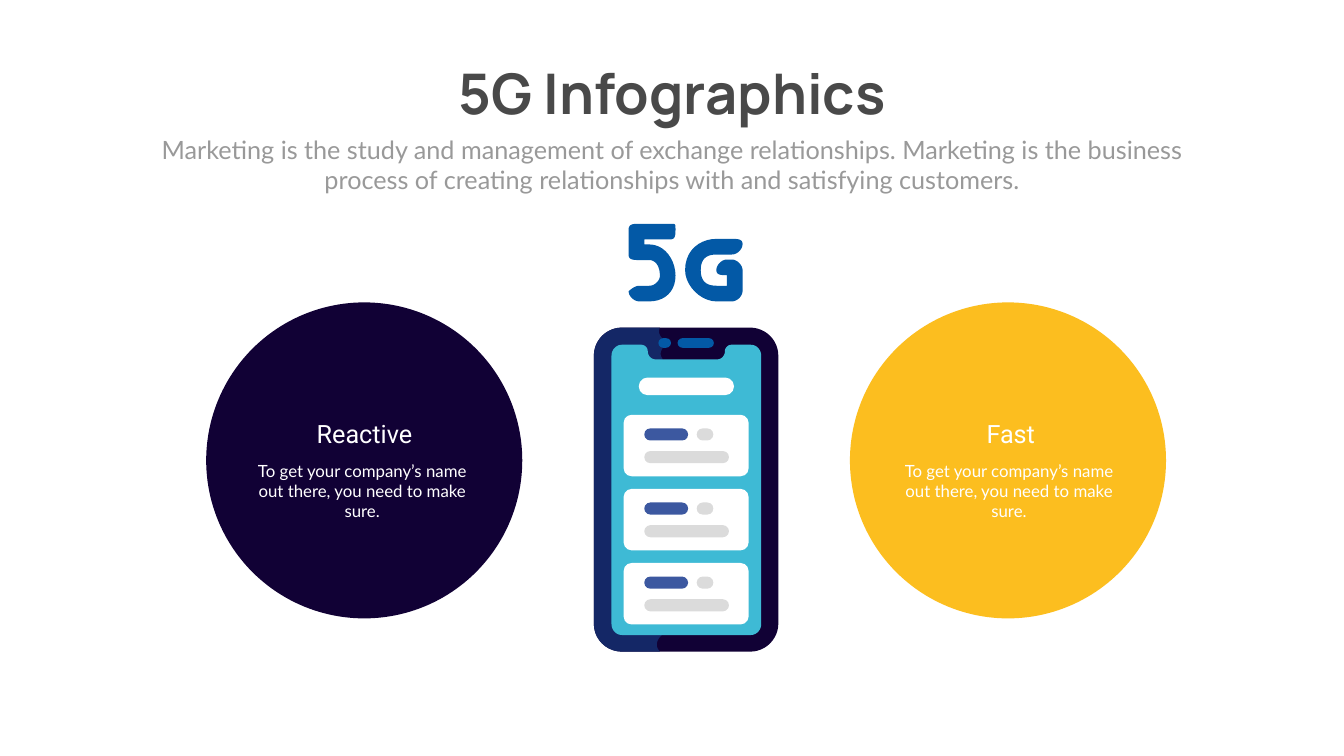
from dataclasses import dataclass

from lxml.etree import SubElement
from pptx import Presentation
from pptx.dml.color import RGBColor
from pptx.enum.shapes import MSO_SHAPE
from pptx.enum.text import MSO_ANCHOR, MSO_AUTO_SIZE, PP_ALIGN
from pptx.oxml.ns import qn
from pptx.util import Inches, Pt

COLUMNS, ROWS = 26.66, 15
CELL = Inches(1)

COLORS = {
    "title": "494949",
    "subtitle": "999999",
    "white": "FFFFFF",
    "navy": "110135",
    "yellow": "FCBE1F",
    "blue": "0359A6",
    "side": "142766",
    "screen": "3EBAD5",
    "accent": "3C58A0",
    "grey": "DBDBDB",
}


@dataclass(frozen=True)
class Area:
    column: float
    row: float
    columns: float
    rows: float

    def shifted(self, column: float, row: float) -> "Area":
        return Area(self.column + column, self.row + row, self.columns, self.rows)


@dataclass(frozen=True)
class Style:
    font: str
    size: int
    color: str
    bold: bool = False


@dataclass(frozen=True)
class Feature:
    heading: str
    color: str
    circle: Area
    heading_area: Area
    detail_area: Area


@dataclass(frozen=True)
class Outline:
    color: str
    start: tuple
    steps: tuple


@dataclass(frozen=True)
class Panel:
    color: str
    area: Area
    radius: float


TITLE = Style("Manrope", 80, "title", True)
SUBTITLE = Style("Lato", 36, "subtitle")
HEADING = Style("Roboto", 36, "white")
DETAIL = Style("Lato", 24, "white")
DETAIL_TEXT = "To get your company’s name out there, you need to make sure."

FEATURES = (
    Feature("Reactive", "navy", Area(4.09, 6, 6.27, 6.27),
            Area(5.6, 8.25, 3.26, 0.71), Area(4.77, 9.09, 4.83, 0.91)),
    Feature("Fast", "yellow", Area(16.86, 6, 6.27, 6.27),
            Area(18.42, 8.25, 3.26, 0.71), Area(17.6, 9.09, 4.83, 0.91)),
)

FIVE = Outline("blue", (13.3, 4.75), (
    (13.4, 4.75, 13.4, 4.65, 13.4, 4.55), (13.4, 4.44, 13.4, 4.44, 13.3, 4.44),
    (12.68, 4.44), (12.58, 4.44, 12.47, 4.44, 12.47, 4.55),
    (12.47, 5.06), (12.47, 5.16, 12.58, 5.16, 12.68, 5.16),
    (12.88, 5.16), (12.99, 5.16, 13.09, 5.26, 13.09, 5.47),
    (13.09, 5.57, 12.99, 5.67, 12.88, 5.67), (12.68, 5.67),
    (12.58, 5.67, 12.47, 5.78, 12.47, 5.78),
    (12.47, 5.88, 12.58, 5.98, 12.68, 5.98), (12.88, 5.98),
    (13.19, 5.98, 13.4, 5.78, 13.4, 5.47),
    (13.4, 5.16, 13.19, 4.85, 12.88, 4.85), (12.78, 4.85), (12.78, 4.75),
))
LETTER_G = Outline("blue", (14.21, 5.05), (
    (14.52, 5.05), (14.62, 5.05, 14.73, 4.95, 14.73, 4.84),
    (14.73, 4.74, 14.62, 4.74, 14.52, 4.74), (14.21, 4.74),
    (13.9, 4.74, 13.59, 4.95, 13.59, 5.36),
    (13.59, 5.67, 13.9, 5.98, 14.21, 5.98), (14.52, 5.98),
    (14.62, 5.98, 14.73, 5.88, 14.73, 5.77), (14.73, 5.36),
    (14.73, 5.26, 14.62, 5.15, 14.52, 5.15), (14.42, 5.15),
    (14.31, 5.15, 14.21, 5.26, 14.21, 5.36),
    (14.21, 5.46, 14.31, 5.46, 14.42, 5.46), (14.42, 5.67), (14.21, 5.67),
    (14, 5.67, 13.9, 5.57, 13.9, 5.36), (13.9, 5.15, 14, 5.05, 14.21, 5.05),
))
PHONE_SIDE = Outline("side", (12.34, 6.5), (
    (12.03, 6.5, 11.78, 6.75, 11.78, 7.06), (11.78, 12.38),
    (11.78, 12.69, 12.03, 12.93, 12.34, 12.93), (13.09, 12.93),
    (12.93, 12.76, 13.13, 12.6, 13.13, 12.6),
    (12.85, 12.51, 12.87, 12.23, 12.87, 12.23), (12.87, 7.48),
    (12.87, 7.2, 13.15, 7.13, 13.15, 7.13),
    (13.05, 7.02, 13.15, 6.9, 13.15, 6.9), (13.15, 6.72),
    (13.05, 6.64, 13.07, 6.55, 13.09, 6.5),
))
SCREEN = Outline("screen", (14.89, 6.84), (
    (14.51, 6.84), (14.44, 6.84, 14.38, 6.9, 14.38, 6.97),
    (14.38, 7.06, 14.31, 7.13, 14.23, 7.13), (13, 7.13),
    (12.92, 7.13, 12.85, 7.06, 12.85, 6.97),
    (12.85, 6.9, 12.79, 6.84, 12.72, 6.84), (12.34, 6.84),
    (12.22, 6.84, 12.13, 6.94, 12.13, 7.06), (12.13, 12.38),
    (12.13, 12.5, 12.22, 12.6, 12.34, 12.6), (14.89, 12.6),
    (15.01, 12.6, 15.1, 12.5, 15.1, 12.38), (15.1, 7.06),
    (15.1, 6.94, 15.01, 6.84, 14.89, 6.84),
))

PHONE_BODY = Panel("navy", Area(11.78, 6.5, 3.66, 6.43), 0.56)
CAMERA = Panel("blue", Area(13.06, 6.71, 0.25, 0.19), 0.1)
SPEAKER = Panel("blue", Area(13.44, 6.71, 0.72, 0.19), 0.1)
SEARCH_BAR = Panel("white", Area(12.67, 7.49, 1.89, 0.35), 0.18)

CARD_COUNT, CARD_GAP = 3, 0.25
CARD = (
    Panel("white", Area(12.37, 8.23, 2.48, 1.22), 0.16),
    Panel("accent", Area(12.78, 8.5, 0.87, 0.24), 0.12),
    Panel("grey", Area(12.78, 8.95, 1.68, 0.24), 0.12),
    Panel("grey", Area(13.82, 8.5, 0.33, 0.24), 0.12),
)


def cells(count: float) -> int:
    return round(count * CELL)


def bounds(area: Area) -> tuple:
    return tuple(map(cells, (area.column, area.row, area.columns, area.rows)))


def paint(shape, color: str) -> None:
    shape.shadow.inherit = False
    shape.fill.solid()
    shape.fill.fore_color.rgb = RGBColor.from_string(COLORS[color])
    shape.line.fill.background()


def draw_panel(slide, panel: Panel) -> None:
    shape = slide.shapes.add_shape(MSO_SHAPE.ROUNDED_RECTANGLE, *bounds(panel.area))
    shape.adjustments[0] = min(0.5, panel.radius / min(panel.area.columns, panel.area.rows))
    paint(shape, panel.color)


def curve(start: tuple, step: tuple, pieces: int = 10) -> list:
    nodes = (start, step[:2], step[2:4], step[4:])
    points = []
    for piece in range(1, pieces + 1):
        t = piece / pieces
        weights = ((1 - t) ** 3, 3 * t * (1 - t) ** 2, 3 * t * t * (1 - t), t ** 3)
        points.append(tuple(sum(w * node[axis] for w, node in zip(weights, nodes))
                            for axis in (0, 1)))
    return points


def draw_outline(slide, outline: Outline) -> None:
    points = [outline.start]
    for step in outline.steps:
        points += [step] if len(step) == 2 else curve(points[-1], step)
    corners = [(cells(column), cells(row)) for column, row in points]
    builder = slide.shapes.build_freeform(*corners[0])
    builder.add_line_segments(corners[1:], close=True)
    paint(builder.convert_to_shape(), outline.color)


def write(holder, area: Area, text: str, style: Style, wrap: bool = True) -> None:
    holder.left, holder.top, holder.width, holder.height = bounds(area)
    frame = holder.text_frame
    frame.text = text
    frame.word_wrap = wrap
    frame.auto_size = MSO_AUTO_SIZE.NONE
    frame.vertical_anchor = MSO_ANCHOR.TOP
    paragraph = frame.paragraphs[0]
    paragraph.alignment = PP_ALIGN.CENTER
    paragraph.space_before = Pt(0)
    properties = paragraph._p.get_or_add_pPr()
    properties.set("marL", "0")
    properties.set("indent", "0")
    SubElement(properties, qn("a:buNone"))
    font = paragraph.font
    font.name, font.size, font.bold = style.font, Pt(style.size), style.bold
    font.color.rgb = RGBColor.from_string(COLORS[style.color])


def draw_feature(slide, feature: Feature) -> None:
    paint(slide.shapes.add_shape(MSO_SHAPE.OVAL, *bounds(feature.circle)), feature.color)
    for area, text, style in ((feature.detail_area, DETAIL_TEXT, DETAIL),
                              (feature.heading_area, feature.heading, HEADING)):
        write(slide.shapes.add_textbox(*bounds(area)), area, text, style)


def main() -> None:
    deck = Presentation()
    deck.slide_width, deck.slide_height = cells(COLUMNS), cells(ROWS)
    slide = deck.slides.add_slide(deck.slide_layouts[1])
    write(slide.shapes.title, Area(8.64, 1.12, 9.39, 1.45), "5G Infographics", TITLE, wrap=False)
    write(slide.placeholders[1], Area(2.92, 2.61, 20.82, 1.31),
          "Marketing is the study and management of exchange relationships. Marketing is the "
          "business process of creating relationships with and satisfying customers.", SUBTITLE)
    for glyph in (FIVE, LETTER_G):
        draw_outline(slide, glyph)
    for feature in FEATURES:
        draw_feature(slide, feature)
    draw_panel(slide, PHONE_BODY)
    draw_outline(slide, PHONE_SIDE)
    for part in (CAMERA, SPEAKER):
        draw_panel(slide, part)
    draw_outline(slide, SCREEN)
    draw_panel(slide, SEARCH_BAR)
    pitch = CARD[0].area.rows + CARD_GAP
    for index in range(CARD_COUNT):
        for part in CARD:
            draw_panel(slide, Panel(part.color, part.area.shifted(0, index * pitch), part.radius))
    deck.save("out.pptx")


if __name__ == "__main__":
    main()
